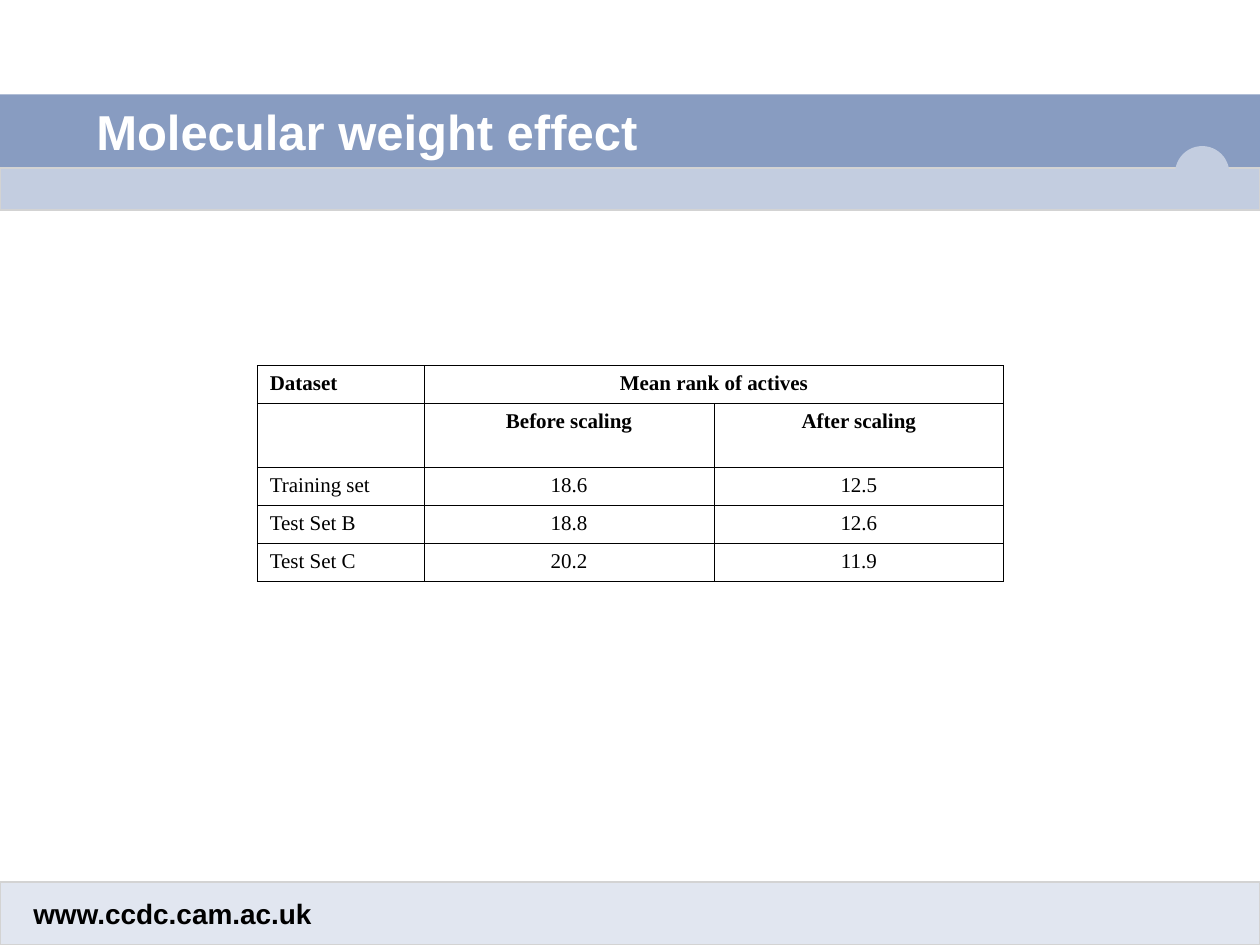
"""Build the slide on the molecular weight effect with its table of mean ranks."""
from dataclasses import dataclass
from typing import Optional

from lxml import etree
from pptx import Presentation
from pptx import util as u
from pptx.dml.color import RGBColor
from pptx.enum import shapes, text
from pptx.oxml import ns

UNIT = u.Inches(1) / 12
COLUMNS, ROWS = 120, 90

WHITE = RGBColor(0xFF, 0xFF, 0xFF)
BLACK = RGBColor(0x00, 0x00, 0x00)
BLUE = RGBColor(0x88, 0x9C, 0xC1)
LIGHT_BLUE = RGBColor(0xC3, 0xCD, 0xE0)
PALE_BLUE = RGBColor(0xE1, 0xE6, 0xF0)
GREY = RGBColor(0xD3, 0xD3, 0xD3)

RECTANGLE = shapes.MSO_SHAPE.RECTANGLE
OVAL = shapes.MSO_SHAPE.OVAL


@dataclass(frozen=True)
class Area:
    column: float
    row: float
    columns: float
    rows: float

    def lengths(self) -> list[int]:
        return [grid(n) for n in (self.column, self.row, self.columns, self.rows)]


@dataclass(frozen=True)
class Panel:
    area: Area
    fill: RGBColor
    line: Optional[RGBColor] = None
    width: float = 0.75
    kind: shapes.MSO_SHAPE = RECTANGLE


@dataclass(frozen=True)
class Label:
    area: Area
    words: str
    size: int
    color: RGBColor


TITLE_BAND = Panel(Area(0, 9, COLUMNS, 7), BLUE)
FOOTER_BAND = Panel(Area(0, 84, COLUMNS, 6), PALE_BLUE, GREY)
LOWER_BAND = Panel(Area(0, 16, COLUMNS, 4), LIGHT_BLUE, GREY)
BUMP = Panel(Area(112, 14, 5, 5), LIGHT_BLUE, LIGHT_BLUE, 1, OVAL)
ADDRESS = Label(Area(2, 85, 30, 4), "www.ccdc.cam.ac.uk", 16, BLACK)
TITLE = Label(Area(8, 5, 109, 15), "Molecular weight effect", 28, WHITE)

TABLE_AREA = Area(24.5, 34.8, 71.1, 20.6)
TABLE_COLUMNS = (15.9, 27.6, 27.6)
TABLE_ROWS = (3.62, 6.1, 3.62, 3.62, 3.62)
HEADER_ROWS = 2
RANKS = (
    ("Dataset", "Mean rank of actives", ""),
    ("", "Before scaling", "After scaling"),
    ("Training set", "18.6", "12.5"),
    ("Test Set B", "18.8", "12.6"),
    ("Test Set C", "20.2", "11.9"),
)


def grid(count: float) -> int:
    """Return the length of a number of grid units."""
    return round(count * UNIT)


def style(para, name: str, size: int, color: RGBColor, bold: bool) -> None:
    """Format every run of a paragraph."""
    for span in para.runs:
        span.font.name, span.font.size, span.font.bold = name, u.Pt(size), bold
        span.font.color.rgb = color


def draw_panel(page, panel: Panel) -> None:
    """Draw a flat filled shape."""
    shape = page.shapes.add_shape(panel.kind, *panel.area.lengths())
    shape.shadow.inherit = False
    shape.fill.solid()
    shape.fill.fore_color.rgb = panel.fill
    if panel.line is None:
        shape.line.fill.background()
    else:
        shape.line.color.rgb = panel.line
        shape.line.width = u.Pt(panel.width)


def draw_label(page, label: Label) -> None:
    """Draw a bold line of text centred vertically in its area."""
    frame = page.shapes.add_textbox(*label.area.lengths()).text_frame
    frame.word_wrap = True
    frame.vertical_anchor = text.MSO_ANCHOR.MIDDLE
    frame.text = label.words
    style(frame.paragraphs[0], "Arial", label.size, label.color, True)


def add_borders(cell) -> None:
    """Give a cell thin black lines on all sides."""
    properties = cell._tc.get_or_add_tcPr()
    for side in ("lnL", "lnR", "lnT", "lnB"):
        line = etree.SubElement(properties, ns.qn(f"a:{side}"), w=str(u.Pt(0.45)))
        fill = etree.SubElement(line, ns.qn("a:solidFill"))
        etree.SubElement(fill, ns.qn("a:srgbClr"), val=str(BLACK))


def draw_table(page) -> None:
    """Draw the ranks before and after scaling."""
    frame = page.shapes.add_table(len(RANKS), len(TABLE_COLUMNS), *TABLE_AREA.lengths())
    table = frame.table
    table.first_row = table.horz_banding = False
    for column, width in zip(table.columns, TABLE_COLUMNS):
        column.width = grid(width)
    for row, height in zip(table.rows, TABLE_ROWS):
        row.height = grid(height)
    for row, values in enumerate(RANKS):
        for column, value in enumerate(values):
            cell = table.cell(row, column)
            add_borders(cell)
            cell.fill.background()
            cell.text_frame.text = value
            para = cell.text_frame.paragraphs[0]
            para.alignment = text.PP_ALIGN.CENTER if column else text.PP_ALIGN.JUSTIFY
            style(para, "Times New Roman", 12, BLACK, row < HEADER_ROWS)
    table.cell(0, 1).merge(table.cell(0, 2))


def main() -> None:
    """Build and save the deck."""
    deck = Presentation()
    deck.slide_width, deck.slide_height = grid(COLUMNS), grid(ROWS)
    page = deck.slides.add_slide(deck.slide_layouts[6])
    for panel in (TITLE_BAND, FOOTER_BAND, LOWER_BAND, BUMP):
        draw_panel(page, panel)
    for label in (ADDRESS, TITLE):
        draw_label(page, label)
    draw_table(page)
    deck.save("out.pptx")


if __name__ == "__main__":
    main()
